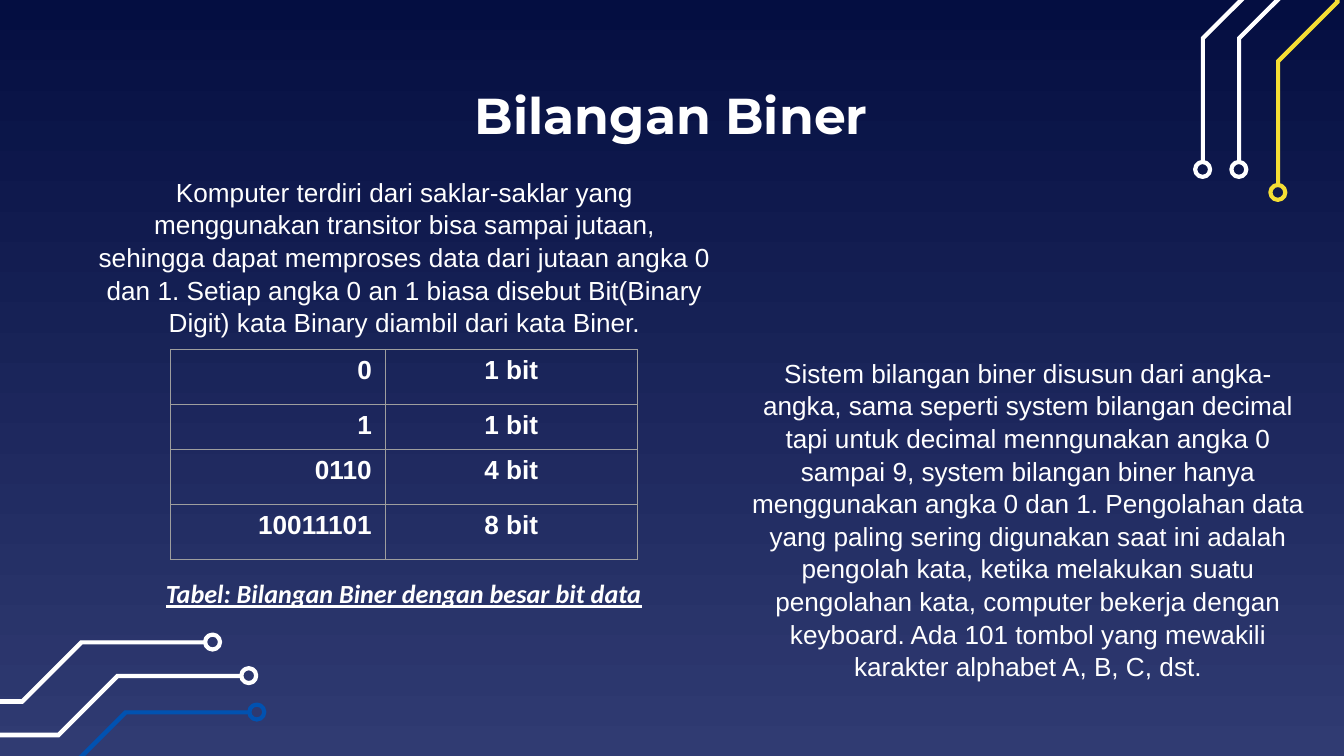
from lxml import etree
from pptx import Presentation
from pptx.dml.color import RGBColor
from pptx.enum.shapes import MSO_SHAPE
from pptx.enum.text import MSO_ANCHOR, PP_ALIGN
from pptx.oxml.ns import qn
from pptx.util import Pt

OVAL = MSO_SHAPE.OVAL
TOP, MIDDLE = MSO_ANCHOR.TOP, MSO_ANCHOR.MIDDLE
CENTER, RIGHT = PP_ALIGN.CENTER, PP_ALIGN.RIGHT

WHITE = RGBColor(0xFF, 0xFF, 0xFF)
YELLOW = RGBColor(0xF5, 0xDE, 0x34)
BLUE = RGBColor(0x01, 0x52, 0xB1)
GREY = RGBColor(0x9E, 0x9E, 0x9E)
NIGHT = RGBColor(0x04, 0x0E, 0x41)
DUSK = RGBColor(0x30, 0x3B, 0x72)

BODY = {"name": "Arial", "size": Pt(14)}
BOLD = {**BODY, "bold": True}
HEAD = {"name": "Montserrat", "size": Pt(27), "bold": True}
NOTE = {"name": "Calibri", "size": Pt(14), "bold": True,
        "italic": True, "underline": True}

TRACE = [(0, 0), (0, -67), (31.5, -98.5), (31.5, -151.2), (33.3, -151.2),
         (33.3, -98), (1.5, -66.2), (1.5, 0)]
RING = 8
RING_MID = (0.6, 3.7)

DOWN = [(643.7, 87.1, WHITE), (663.1, 87.1, WHITE), (684, 99.4, YELLOW)]
ACROSS = [(129.6, 361.4, WHITE), (133.9, 380.9, BLUE), (110.2, 343.4, WHITE)]

INTRO = ("Komputer terdiri dari saklar-saklar yang menggunakan transitor bisa "
         "sampai jutaan, sehingga dapat memproses data dari jutaan angka 0 "
         "dan 1. Setiap angka 0 an 1 biasa disebut Bit(Binary Digit) kata "
         "Binary diambil dari kata Biner.")
SYSTEM = ("Sistem bilangan biner disusun dari angka-angka, sama seperti system "
          "bilangan decimal tapi untuk decimal menngunakan angka 0 sampai 9, "
          "system bilangan biner hanya menggunakan angka 0 dan 1. Pengolahan "
          "data yang paling sering digunakan saat ini adalah pengolah kata, "
          "ketika melakukan suatu pengolahan kata, computer bekerja dengan "
          "keyboard. Ada 101 tombol yang mewakili karakter alphabet A, B, C, "
          "dst.")
BITS = [("0", "1 bit"), ("1", "1 bit"), ("0110", "4 bit"),
        ("10011101", "8 bit")]


class Deck:
    def __init__(self, wide, high):
        self.show = Presentation()
        self.show.slide_width, self.show.slide_height = Pt(wide), Pt(high)
        self.slide = self.show.slides.add_slide(self.show.slide_layouts[6])
        self.ink = WHITE

    def back(self, *hues):
        fill = self.slide.background.fill
        fill.gradient()
        fill.gradient_angle = 270
        for stop, hue in zip(fill.gradient_stops, hues):
            stop.color.rgb = hue

    def style(self, para, words, form, align):
        para.alignment = align
        run = para.add_run()
        run.text = words
        for key, value in form.items():
            setattr(run.font, key, value)
        run.font.color.rgb = self.ink

    def text(self, box, words, form, anchor=MIDDLE, pad=(0, 0), lead=1.0):
        frame = self.slide.shapes.add_textbox(*map(Pt, box)).text_frame
        rules = {"word_wrap": True, "vertical_anchor": anchor,
                 "margin_top": Pt(pad[0]), "margin_bottom": Pt(pad[1])}
        for key, value in rules.items():
            setattr(frame, key, value)
        para = frame.paragraphs[0]
        para.line_spacing = lead
        self.style(para, words, form, CENTER)

    def line(self, shape, hue, width):
        shape.shadow.inherit = False
        shape.line.color.rgb = hue
        shape.line.width = Pt(width)

    def trace(self, x, y, hue, flat=False):
        turn = -1 if flat else 1
        ends = [(Pt(x + a), Pt(y + b)) for a, b in
                (spot[::turn] for spot in TRACE)]
        shapes = self.slide.shapes
        pen = shapes.build_freeform(*ends[0])
        pen.add_line_segments(ends[1:], close=True)
        path = pen.convert_to_shape()
        path.fill.solid()
        path.fill.fore_color.rgb = hue
        self.line(path, hue, 0.75)
        a, b = RING_MID[::turn]
        ring = shapes.add_shape(OVAL, Pt(x + a - RING / 2),
                                Pt(y + b - RING / 2), Pt(RING), Pt(RING))
        ring.fill.background()
        self.line(ring, hue, 2.25)

    def edge(self, cell, hue):
        props = cell._tc.get_or_add_tcPr()
        for i, side in enumerate(("a:lnL", "a:lnR", "a:lnT", "a:lnB")):
            rim = etree.Element(qn(side), w=str(Pt(0.75)))
            fill = etree.SubElement(rim, qn("a:solidFill"))
            etree.SubElement(fill, qn("a:srgbClr"), val=str(hue))
            props.insert(i, rim)

    def table(self, x, y, cols, rows, data):
        grid = self.slide.shapes.add_table(
            len(rows), len(cols), Pt(x), Pt(y),
            Pt(sum(cols)), Pt(sum(rows))).table
        for col, wide in zip(grid.columns, cols):
            col.width = Pt(wide)
        for row, high, words in zip(grid.rows, rows, data):
            row.height = Pt(high)
            for cell, word, align in zip(row.cells, words, (RIGHT, CENTER)):
                cell.fill.background()
                self.edge(cell, GREY)
                self.style(cell.text_frame.paragraphs[0], word, BOLD, align)


def main():
    deck = Deck(720, 405)
    deck.back(NIGHT, DUSK)
    for x, y, hue in DOWN:
        deck.trace(x, y, hue)
    for x, y, hue in ACROSS:
        deck.trace(x, y, hue, flat=True)
    deck.text((45.4, 129.6, 342.7, 32.4), INTRO, BODY, pad=(0, 16.8),
              lead=1.04)
    deck.text((80, 312.5, 272.8, 23.8), "Tabel: Bilangan Biner dengan besar "
              "bit data", NOTE, pad=(0, 13.4))
    deck.text((116.6, 42.5, 486, 37.4), "Bilangan Biner", HEAD)
    deck.table(91.4, 187.2, (115, 135), (29.5, 23, 29.5, 29.5), BITS)
    deck.text((393.8, 187.2, 314, 177.1), SYSTEM, BODY, TOP, (3.6, 3.6),
              lead=1.04)
    deck.show.save("out.pptx")


if __name__ == "__main__":
    main()
